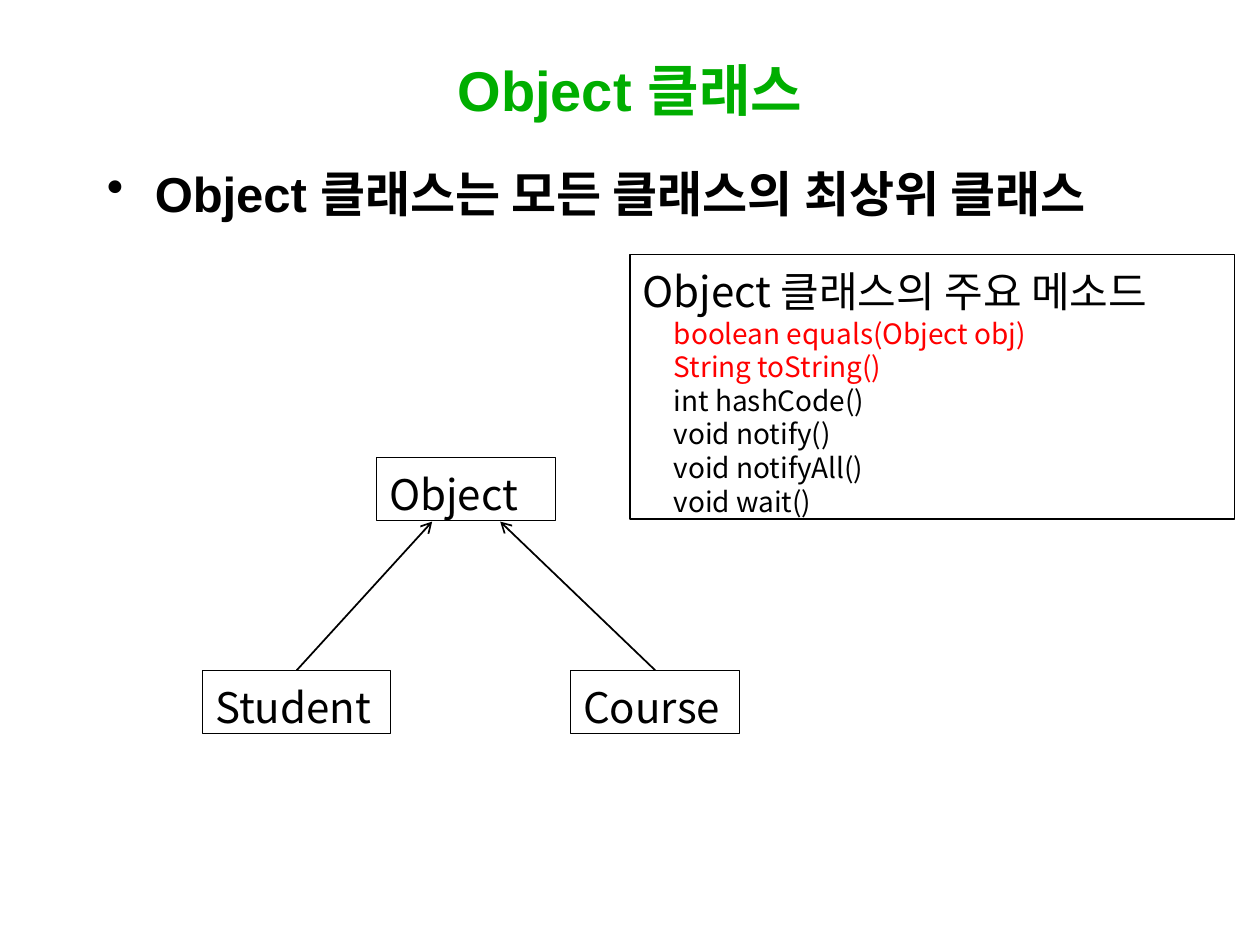
"""Build a slide on the Object class: its subclasses and its main methods."""
from lxml import etree
from pptx import Presentation
from pptx.dml.color import RGBColor
from pptx.enum import shapes, text
from pptx.oxml.ns import qn
from pptx.util import Inches, Pt

BLACK = RGBColor(0x00, 0x00, 0x00)
GREEN = RGBColor(0x00, 0xAE, 0x00)
RED = RGBColor(0xFF, 0x00, 0x00)
HEADING_FONT = "Arial"
BODY_FONT = "Noto Sans CJK KR"
LINE_HEIGHT = 1.2

METHODS = [
    ("boolean equals(Object obj)", RED),
    ("String toString()", RED),
    ("int hashCode()", BLACK),
    ("void notify()", BLACK),
    ("void notifyAll()", BLACK),
    ("void wait()", BLACK),
]


def format_runs(paragraph, size, color, font=BODY_FONT, bold=False):
    """Style every run, using the Korean font for East Asian letters."""
    for run in paragraph.runs:
        run.font.name = font
        run.font.size = Pt(size)
        run.font.bold = bold
        run.font.color.rgb = color
        east_asian = etree.SubElement(run.font._element, qn("a:ea"))
        east_asian.set("typeface", BODY_FONT)


def add_heading(slide, words, left, top, width, height, size, color):
    """Add a bold text box and return it."""
    shape = slide.shapes.add_textbox(
        Inches(left), Inches(top), Inches(width), Inches(height))
    frame = shape.text_frame
    frame.word_wrap = True
    frame.text = words
    format_runs(frame.paragraphs[0], size, color, HEADING_FONT, bold=True)
    return shape


def add_bullet(paragraph, indent):
    """Give the paragraph a round bullet with a hanging indent."""
    properties = paragraph._p.get_or_add_pPr()
    properties.set("marL", str(Inches(indent)))
    properties.set("indent", str(-Inches(indent)))
    bullet = etree.SubElement(properties, qn("a:buChar"))
    bullet.set("char", "•")


def add_box(slide, left, top, width, height, lines):
    """Add an outlined box with lines of (words, size, color, indent)."""
    shape = slide.shapes.add_shape(
        shapes.MSO_SHAPE.RECTANGLE,
        Inches(left), Inches(top), Inches(width), Inches(height))
    shape.shadow.inherit = False
    shape.fill.background()
    shape.line.color.rgb = BLACK
    shape.line.width = Pt(0.75)
    frame = shape.text_frame
    frame.word_wrap = True
    frame.vertical_anchor = text.MSO_ANCHOR.TOP
    frame.margin_top = Inches(0.09)
    frame.margin_bottom = Inches(0.01)
    frame.text = "\n".join(line[0] for line in lines)
    for paragraph, (_, size, color, indent) in zip(frame.paragraphs, lines):
        paragraph.alignment = text.PP_ALIGN.LEFT
        paragraph.line_spacing = Pt(size * LINE_HEIGHT)
        paragraph._p.get_or_add_pPr().set("marL", str(Inches(indent)))
        format_runs(paragraph, size, color)
    return shape


def add_class_box(slide, name, left, top, width):
    """Add the box of one class."""
    return add_box(slide, left, top, width, 0.5, [(name, 24, BLACK, 0)])


def add_arrow(slide, subclass, end_x, end_y):
    """Draw an arrow from the top of a subclass box to its parent."""
    connector = slide.shapes.add_connector(
        shapes.MSO_CONNECTOR.STRAIGHT,
        subclass.left, subclass.top, Inches(end_x), Inches(end_y))
    connector.begin_connect(subclass, 0)
    connector.line.color.rgb = BLACK
    connector.line.width = Pt(1)
    tail = etree.SubElement(connector.line._get_or_add_ln(), qn("a:tailEnd"))
    tail.set("type", "arrow")
    etree.SubElement(connector._element.spPr, qn("a:effectLst"))


def main():
    """Build and save the slide."""
    presentation = Presentation()
    presentation.slide_width = Inches(10)
    presentation.slide_height = Inches(7.5)
    slide = presentation.slides.add_slide(presentation.slide_layouts[6])

    title = add_heading(slide, "Object 클래스", 0.75, 0.33, 8.5, 0.75, 32, GREEN)
    title.text_frame.vertical_anchor = text.MSO_ANCHOR.MIDDLE
    title.text_frame.paragraphs[0].alignment = text.PP_ALIGN.CENTER

    add_class_box(slide, "Object", 2.99, 3.63, 1.42)
    student = add_class_box(slide, "Student", 1.61, 5.32, 1.49)
    course = add_class_box(slide, "Course", 4.53, 5.32, 1.34)
    method_lines = [(words, 16, color, 0.25) for words, color in METHODS]
    add_box(slide, 5, 2.02, 4.8, 2.1,
            [("Object 클래스의 주요 메소드", 24, BLACK, 0)] + method_lines)
    add_arrow(slide, student, 3.43, 4.14)
    add_arrow(slide, course, 3.97, 4.14)

    summary = add_heading(slide, "Object 클래스는 모든 클래스의 최상위 클래스",
                          0.75, 1.25, 8.58, 6, 28, BLACK)
    paragraph = summary.text_frame.paragraphs[0]
    paragraph.space_before = Pt(7)
    add_bullet(paragraph, 0.38)

    presentation.save("out.pptx")


if __name__ == "__main__":
    main()
